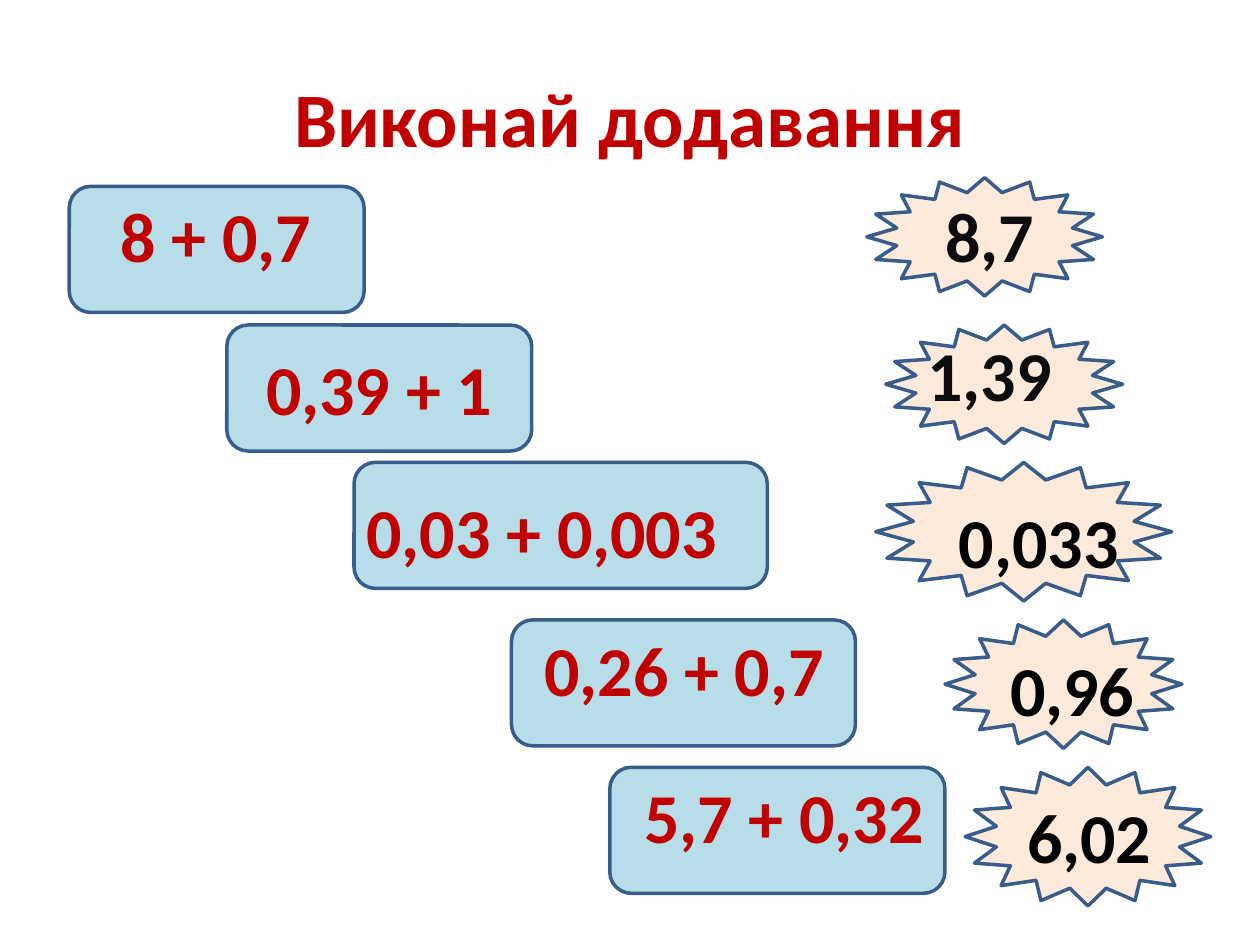
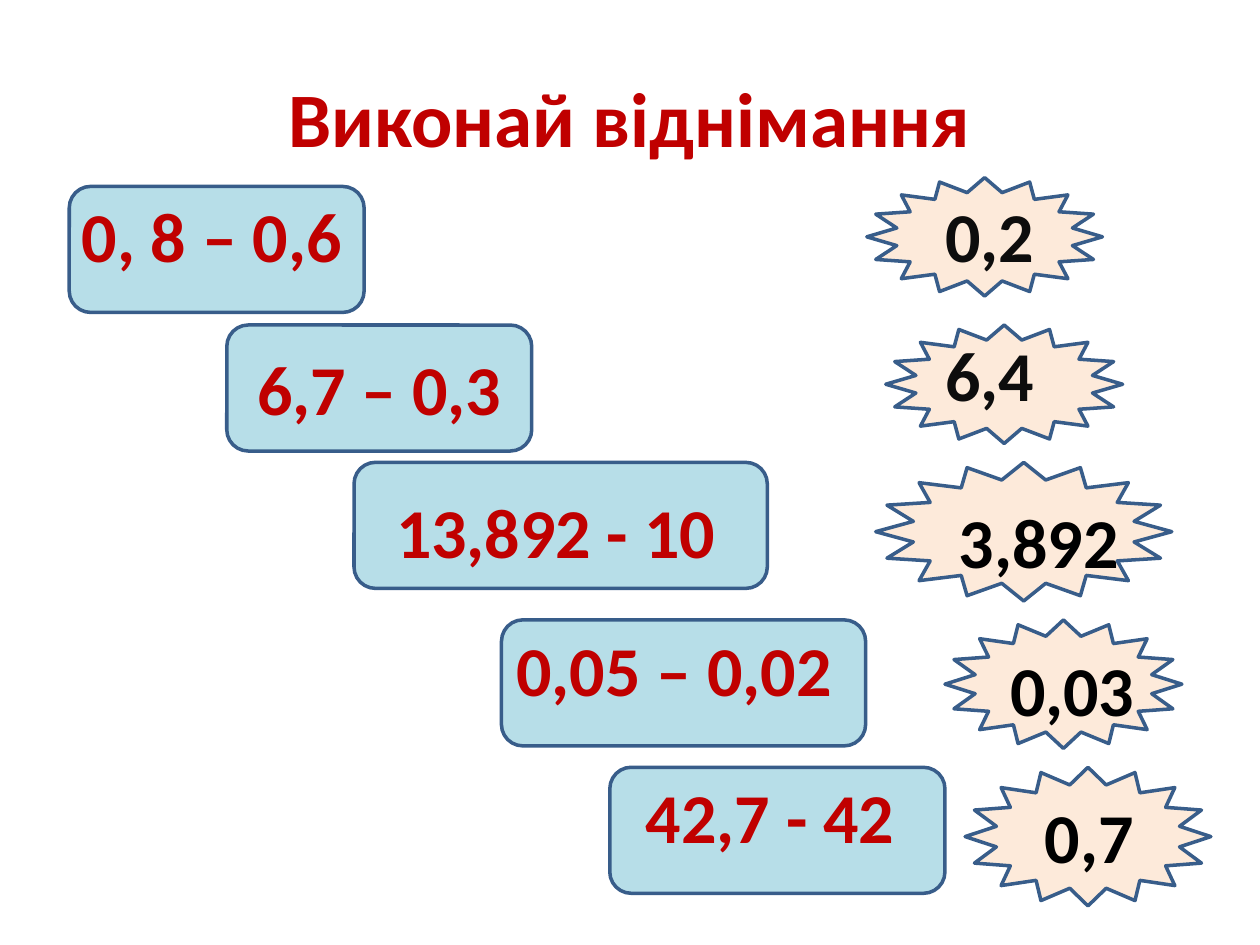
from dataclasses import dataclass
from typing import NamedTuple, Optional

import pptx
import pptx.dml.color
import pptx.enum.shapes
import pptx.enum.text
import pptx.presentation
import pptx.shapes.autoshape
import pptx.slide
import pptx.text.text
import pptx.util

RGBColor = pptx.dml.color.RGBColor
Align = pptx.enum.text.PP_ALIGN
Anchor = pptx.enum.text.MSO_ANCHOR
AutoSize = pptx.enum.text.MSO_AUTO_SIZE
ShapeKind = pptx.enum.shapes.MSO_SHAPE

RED = RGBColor(0xC0, 0x00, 0x00)
LIGHT_BLUE = RGBColor(0xB7, 0xDE, 0xE8)
PEACH = RGBColor(0xFD, 0xEA, 0xDA)
OUTLINE_BLUE = RGBColor(0x38, 0x5D, 0x8A)
NEAR_BLACK = RGBColor(0x0D, 0x0D, 0x0D)
BLACK = RGBColor(0x00, 0x00, 0x00)

FONT = "Calibri"
TITLE_SIZE = 44
TASK_SIZE = 40
PX_PER_INCH = 100
CARD_HEIGHT = 100
CAPTION_HEIGHT = 77
TITLE_ONLY = 5


class Box(NamedTuple):
    left: int
    top: int
    width: int
    height: int


class Span(NamedTuple):
    left: int
    width: int


@dataclass(frozen=True)
class Task:
    text: str
    card: Span
    caption: Optional[Span]
    caption_drop: int = 0
    align: Align = Align.CENTER


@dataclass(frozen=True)
class Answer:
    burst: Box
    caption: Span
    caption_top: int
    color: RGBColor


@dataclass(frozen=True)
class Exercise:
    title: str
    tasks: list[Task]
    answers: list[str]


TITLE_BOX = Box(50, 30, 900, 125)
ROW_TOPS = [148, 258, 367, 492, 609]
FIRST_CARD = Span(55, 234)
SECOND_CARD = Span(180, 242)
THIRD_CARD = Span(281, 328)
THIRD_CAPTION = Span(281, 320)
LAST_CARD = Span(484, 266)

ANSWERS = [
    Answer(Box(688, 141, 187, 94), Span(719, 133), 148, NEAR_BLACK),
    Answer(Box(703, 258, 188, 94), Span(688, 195), 258, NEAR_BLACK),
    Answer(Box(695, 367, 235, 110), Span(719, 211), 391, BLACK),
    Answer(Box(750, 492, 188, 102), Span(773, 156), 508, BLACK),
    Answer(Box(766, 609, 195, 110), Span(797, 135), 625, BLACK),
]

EXERCISES = [
    Exercise(
        "Виконай додавання",
        [
            Task("8 + 0,7", FIRST_CARD, Span(70, 203)),
            Task("0,39 + 1", SECOND_CARD, None),
            Task("0,03 + 0,003", THIRD_CARD, THIRD_CAPTION, 16, Align.LEFT),
            Task("0,26 + 0,7", Span(406, 273), Span(414, 258)),
            Task("5,7 + 0,32 ", LAST_CARD, Span(492, 273)),
        ],
        ["8,7", "1,39", "0,033", "0,96", "6,02"],
    ),
    Exercise(
        "Виконай віднімання",
        [
            Task("0, 8 – 0,6", FIRST_CARD, Span(39, 258)),
            Task("6,7 – 0,3", SECOND_CARD, None),
            Task("13,892 - 10", THIRD_CARD, THIRD_CAPTION, 16),
            Task("0,05 – 0,02", Span(398, 289), Span(359, 352)),
            Task("42,7 - 42 ", LAST_CARD, Span(469, 297)),
        ],
        ["0,2", "6,4", "3,892", "0,03", "0,7"],
    ),
]


def px(length: int) -> pptx.util.Emu:
    return pptx.util.Emu(length * pptx.util.Inches(1) // PX_PER_INCH)


def place(box: Box) -> list[pptx.util.Emu]:
    return [px(length) for length in box]


def write(frame: pptx.text.text.TextFrame, text: str, size: int,
          color: RGBColor, align: Align = Align.CENTER) -> None:
    frame.text = text
    frame.word_wrap = True
    para = frame.paragraphs[0]
    para.alignment = align
    font = para.runs[0].font
    font.name = FONT
    font.size = pptx.util.Pt(size)
    font.bold = True
    font.color.rgb = color


def add_title(page: pptx.slide.Slide, text: str) -> None:
    title = page.shapes.title
    title.left, title.top, title.width, title.height = place(TITLE_BOX)
    write(title.text_frame, text, TITLE_SIZE, RED)
    title.text_frame.vertical_anchor = Anchor.MIDDLE
    title.text_frame.auto_size = AutoSize.NONE


def add_outlined(page: pptx.slide.Slide, kind: ShapeKind, box: Box,
                 fill: RGBColor, adjustment: float) -> pptx.shapes.autoshape.Shape:
    shape = page.shapes.add_shape(kind, *place(box))
    shape.adjustments[0] = adjustment
    shape.shadow.inherit = False
    shape.fill.solid()
    shape.fill.fore_color.rgb = fill
    shape.line.color.rgb = OUTLINE_BLUE
    shape.line.width = pptx.util.Pt(2)
    return shape


def add_caption(page: pptx.slide.Slide, text: str, span: Span, top: int,
                color: RGBColor, align: Align = Align.CENTER) -> None:
    box = Box(span.left, top, span.width, CAPTION_HEIGHT)
    frame = page.shapes.add_textbox(*place(box)).text_frame
    write(frame, text, TASK_SIZE, color, align)
    frame.auto_size = AutoSize.SHAPE_TO_FIT_TEXT


def add_task(page: pptx.slide.Slide, task: Task, top: int) -> None:
    box = Box(task.card.left, top, task.card.width, CARD_HEIGHT)
    card = add_outlined(page, ShapeKind.ROUNDED_RECTANGLE, box, LIGHT_BLUE, 0.17)
    if task.caption is None:
        write(card.text_frame, task.text, TASK_SIZE, RED, task.align)
        card.text_frame.vertical_anchor = Anchor.MIDDLE
    else:
        add_caption(page, task.text, task.caption, top + task.caption_drop,
                    RED, task.align)


def add_answer(page: pptx.slide.Slide, answer: Answer, text: str) -> None:
    add_outlined(page, ShapeKind.STAR_16_POINT, answer.burst, PEACH, 0.38)
    add_caption(page, text, answer.caption, answer.caption_top, answer.color)


def add_exercise(deck: pptx.presentation.Presentation, exercise: Exercise) -> None:
    page = deck.slides.add_slide(deck.slide_layouts[TITLE_ONLY])
    add_title(page, exercise.title)
    for task, top in zip(exercise.tasks, ROW_TOPS):
        add_task(page, task, top)
    for answer, text in zip(ANSWERS, exercise.answers):
        add_answer(page, answer, text)


def main() -> None:
    deck = pptx.Presentation()
    deck.slide_width, deck.slide_height = px(1000), px(750)
    for exercise in EXERCISES:
        add_exercise(deck, exercise)
    deck.save("out.pptx")


if __name__ == "__main__":
    main()
